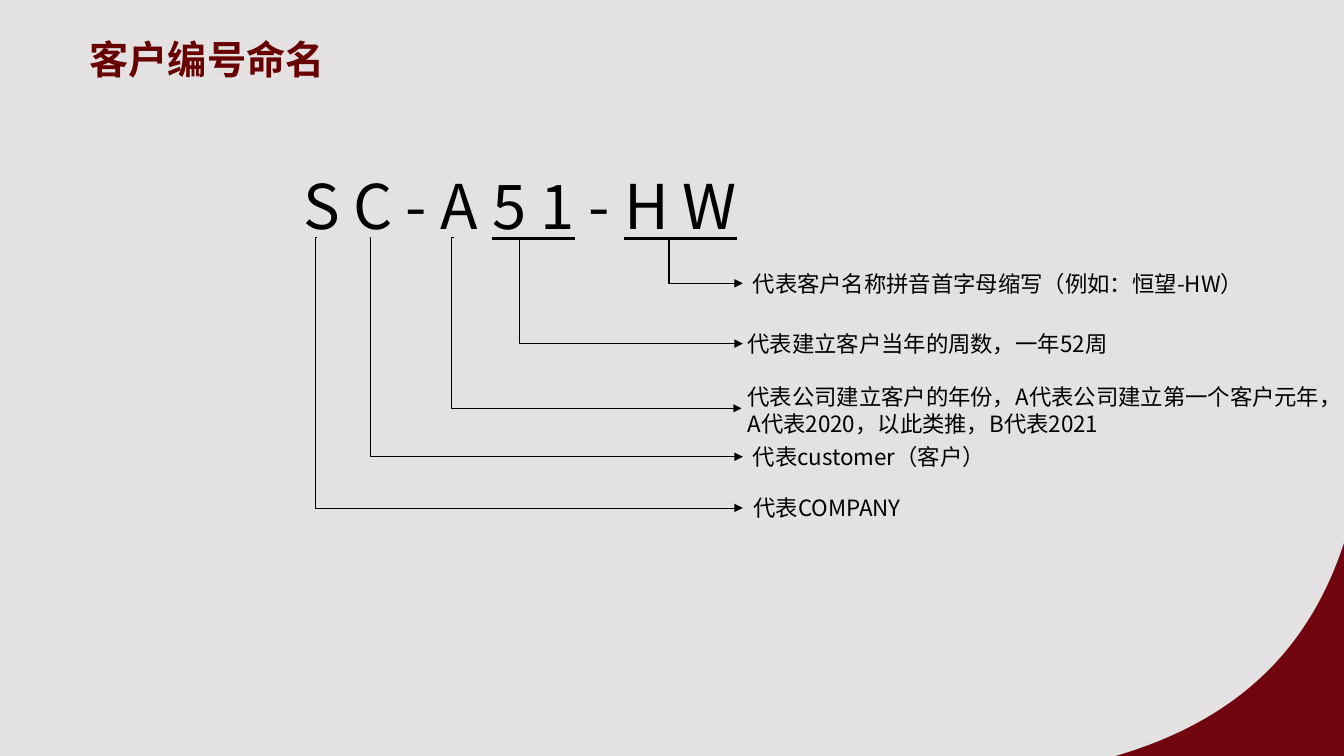
"""Build the slide that explains how a customer number is named."""
import pptx
import pptx.util
import pptx.dml.color
import pptx.enum.shapes
import pptx.enum.text
import pptx.oxml
import pptx.oxml.ns
from pptx.util import Cm

FONT = "Noto Sans CJK JP"
BLACK = "000000"


def rgb(value):
    return pptx.dml.color.RGBColor.from_string(value)


def add_xml(parent, tag, **attrs):
    el = pptx.oxml.parse_xml(f'<{tag} {pptx.oxml.ns.nsdecls("a")}/>')
    for name, value in attrs.items():
        el.set(name, str(value))
    parent.append(el)


class Deck:
    def __init__(self, prs, background):
        self.s = prs.slides.add_slide(prs.slide_layouts[6])
        self.s.background.fill.solid()
        self.s.background.fill.fore_color.rgb = rgb(background)

    def text(self, x, y, w, h, runs, size=16, color=BLACK, bold=False, spacing=0):
        tf = self.s.shapes.add_textbox(Cm(x), Cm(y), Cm(w), Cm(h)).text_frame
        tf.word_wrap = True
        tf.auto_size = pptx.enum.text.MSO_AUTO_SIZE.SHAPE_TO_FIT_TEXT
        p = tf.paragraphs[0]
        for words, underline in runs:
            r = p.add_run()
            r.text = words
            style = {"name": FONT, "size": pptx.util.Pt(size), "bold": bold, "underline": underline}
            for name, value in style.items():
                setattr(r.font, name, value)
            r.font.color.rgb = rgb(color)
            rpr = r._r.get_or_add_rPr()
            add_xml(rpr, "a:ea", typeface=FONT)
            if spacing:
                rpr.set("spc", str(spacing * 100))

    def elbow(self, x1, y1, x2, y2, bend, width):
        kind = pptx.enum.shapes.MSO_CONNECTOR.ELBOW
        c = self.s.shapes.add_connector(kind, Cm(x1), Cm(y1), Cm(x2), Cm(y2))
        c.line.color.rgb = rgb(BLACK)
        c.line.width = pptx.util.Pt(width)
        sppr = c._element.spPr
        add_xml(sppr.prstGeom.get_or_add_avLst(), "a:gd", name="adj1", fmla=f"val {bend}")
        add_xml(c.line._get_or_add_ln(), "a:tailEnd", type="triangle")
        add_xml(sppr, "a:effectLst")

    def corner(self, curve, tip, color, steps=48):
        points = []
        for i in range(steps + 1):
            t = i / steps
            weights = ((1 - t) ** 3, 3 * t * (1 - t) ** 2, 3 * t * t * (1 - t), t ** 3)
            points.append(tuple(Cm(sum(k * pt[axis] for k, pt in zip(weights, curve)))
                                for axis in (0, 1)))
        fb = self.s.shapes.build_freeform(Cm(tip[0]), Cm(tip[1]))
        fb.add_line_segments(points, close=True)
        sp = fb.convert_to_shape()
        sp.shadow.inherit = False
        sp.fill.solid()
        sp.fill.fore_color.rgb = rgb(color)
        sp.line.fill.background()


prs = pptx.Presentation()
prs.slide_width, prs.slide_height = Cm(33.87), Cm(19.05)
deck = Deck(prs, "E3E1E1")

deck.text(2.01, 0.76, 14.66, 1.45, [("客户编号命名", False)], size=28, color="680000", bold=True)
deck.corner([(33.87, 13.69), (32.94, 16.54), (30.99, 18.21), (28.12, 19.05)],
            (33.87, 19.05), "70040F")
deck.text(7.39, 4.11, 17.91, 2.13,
          [("SC-A", False), ("51", True), ("-", False), ("HW", True)], size=44, spacing=10)

CODE_BOTTOM = 5.99
LINE_HEIGHT = 0.69
PARTS = [
    (8.0, 18.72, 12.8, -400, 0.5, 18.74, 7.21, 1, "代表COMPANY"),
    (9.32, 18.72, 11.51, 200, 1, 18.72, 7.21, 1, "代表customer（客户）"),
    (11.43, 18.69, 10.29, -700, 1, 18.59, 14.99, 2,
     "代表公司建立客户的年份，A代表公司建立第一个客户元年，A代表2020，以此类推，B代表2021"),
    (13.08, 18.72, 8.66, 200, 1, 18.59, 10.72, 1, "代表建立客户当年的周数，一年52周"),
    (16.84, 18.72, 7.14, 1200, 1, 18.72, 13.16, 1, "代表客户名称拼音首字母缩写（例如：恒望-HW）"),
]
for start, end, y, bend, width, left, label_width, lines, words in PARTS:
    deck.elbow(start, CODE_BOTTOM, end, y, bend, width)
    height = 0.25 + lines * LINE_HEIGHT
    top = y - (0.47 if lines == 1 else 0.76)
    deck.text(left, top, label_width, height, [(words, False)])

prs.save("out.pptx")
